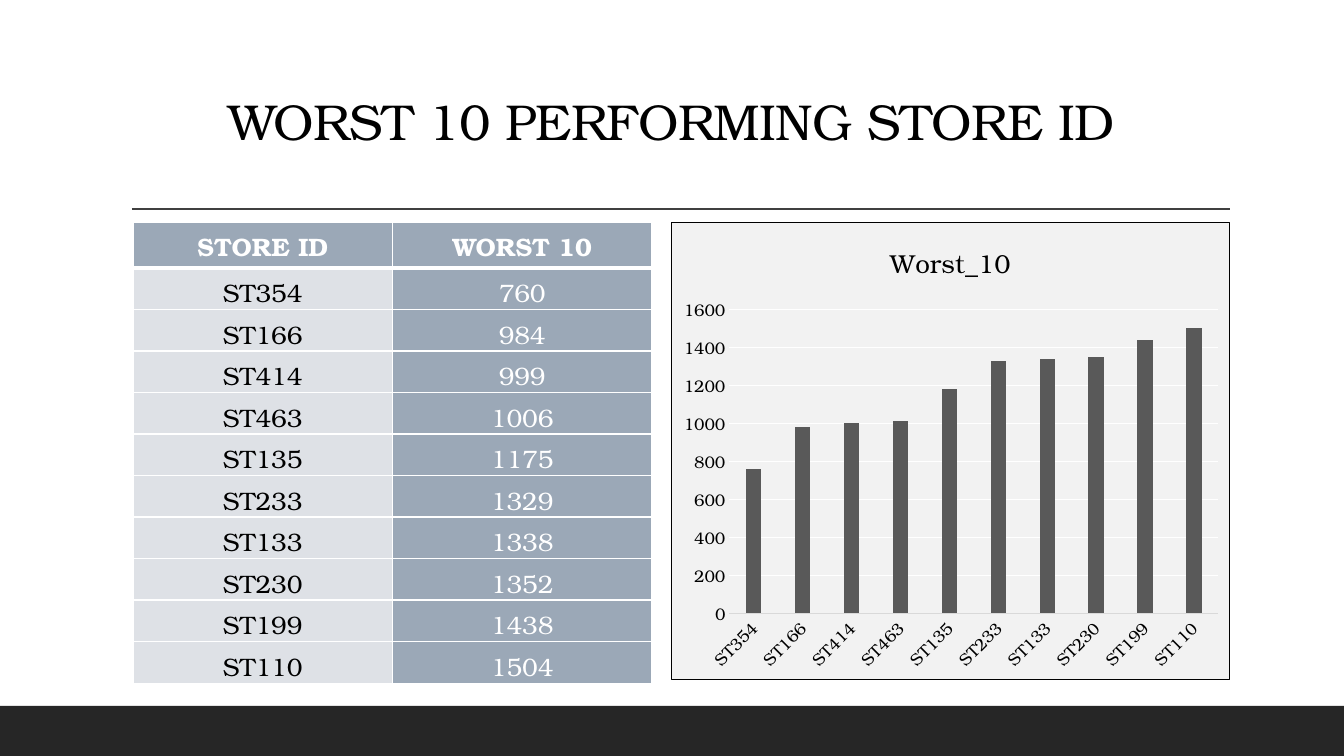
import pptx
import pptx.util
import pptx.dml.color
import pptx.oxml
import pptx.oxml.ns
import pptx.chart.data
import pptx.enum.chart
import pptx.enum.shapes
import pptx.enum.text

SCALE = 914400 / 100.8
FONT = "TeX Gyre Bonum"
BLACK, WHITE, SLATE, PALE = "000000", "FFFFFF", "9BA8B7", "DEE1E6"
STORES = {
    "ST354": 760, "ST166": 984, "ST414": 999, "ST463": 1006, "ST135": 1175,
    "ST233": 1329, "ST133": 1338, "ST230": 1352, "ST199": 1438, "ST110": 1504,
}


def px(*sizes):
    return [pptx.util.Emu(round(size * SCALE)) for size in sizes]


def rgb(code):
    return pptx.dml.color.RGBColor.from_string(code)


def paint(fill, code):
    fill.solid()
    fill.fore_color.rgb = rgb(code)


def stroke(line, code, width):
    paint(line.fill, code)
    line.width = pptx.util.Pt(width)


def node(text):
    spaces = pptx.oxml.ns.nsdecls("a", "c")
    tag, rest = text.split(">", 1)
    if tag.endswith("/"):
        return pptx.oxml.parse_xml(f"{tag[:-1]} {spaces}/>{rest}")
    return pptx.oxml.parse_xml(f"{tag} {spaces}>{rest}")


def layout(box, **parts):
    wide, high = box[2:]
    modes = "".join(f'<c:{key}Mode val="edge"/>' for key in "xy")
    sizes = "".join(f'<c:{key} val="{val / (wide if key in "xw" else high)}"/>'
                    for key, val in parts.items())
    inner = '<c:layoutTarget val="inner"/>' if "w" in parts else ""
    return node(f"<c:layout><c:manualLayout>{inner}{modes}{sizes}"
                "</c:manualLayout></c:layout>")


class Deck:
    def __init__(self):
        self.show = pptx.Presentation()
        self.show.slide_width, self.show.slide_height = px(1344, 756)
        self.slide = self.show.slides.add_slide(self.show.slide_layouts[6])
        self.shapes = self.slide.shapes

    def style(self, font, size, color=BLACK, bold=False):
        font.name = FONT
        font.size = pptx.util.Pt(size)
        font.bold = bold
        font.color.rgb = rgb(color)

    def band(self, box, color):
        kind = pptx.enum.shapes.MSO_SHAPE.RECTANGLE
        shape = self.shapes.add_shape(kind, *px(*box))
        shape.shadow.inherit = False
        paint(shape.fill, color)
        shape.line.fill.background()

    def rule(self, ends, color):
        kind = pptx.enum.shapes.MSO_CONNECTOR.STRAIGHT
        line = self.shapes.add_connector(kind, *px(*ends))
        stroke(line.line, color, 1)
        line._element.spPr.append(node("<a:effectLst/>"))

    def title(self, box, text):
        frame = self.shapes.add_textbox(*px(*box)).text_frame
        frame.word_wrap = True
        frame.vertical_anchor = pptx.enum.text.MSO_ANCHOR.BOTTOM
        para = frame.paragraphs[0]
        para.alignment = pptx.enum.text.PP_ALIGN.CENTER
        para.line_spacing = 0.9
        run = para.add_run()
        run.text = text
        self.style(para.font, 36)
        run._r.get_or_add_rPr().set("spc", "-50")

    def cell(self, cell, text, fill, color, head, edges):
        props = cell._tc.get_or_add_tcPr()
        for side, width in edges.items():
            props.append(node(
                f'<a:ln{side} w="{width * 12700}"><a:solidFill>'
                f'<a:srgbClr val="{WHITE}"/></a:solidFill></a:ln{side}>'))
        paint(cell.fill, fill)
        if not head:
            cell.vertical_anchor = pptx.enum.text.MSO_ANCHOR.BOTTOM
            cell.margin_left = cell.margin_right = cell.margin_top = px(1)[0]
            cell.margin_bottom = 0
        para = cell.text_frame.paragraphs[0]
        para.text = text
        para.alignment = pptx.enum.text.PP_ALIGN.CENTER
        self.style(para.font, 18, color, head)

    def table(self, box, top, heads, data):
        rows = [heads, *data.items()]
        table = self.shapes.add_table(len(rows), 2, *px(*box)).table
        table.horz_banding = False
        table.rows[0].height = px(top)[0]
        for r, row in enumerate(rows):
            head = r == 0
            edges = {"L": 1, "R": 1, "T": 3 if r == 1 else 1,
                     "B": 3 if head else 1}
            for c, value in enumerate(row):
                light = c == 0 and not head
                self.cell(table.cell(r, c), str(value),
                          PALE if light else SLATE,
                          BLACK if light else WHITE, head, edges)

    def chart(self, box, name, data):
        enum = pptx.enum.chart
        source = pptx.chart.data.CategoryChartData()
        source.categories = list(data)
        source.add_series(name, [round(value, -1) for value in data.values()])
        kind = enum.XL_CHART_TYPE.COLUMN_CLUSTERED
        chart = self.shapes.add_chart(kind, *px(*box), source).chart
        chart.has_legend = False
        chart.font.name = "Lato"
        chart.font.size = pptx.util.Pt(10)
        chart.font.color.rgb = rgb(BLACK)
        para = chart.chart_title.text_frame.paragraphs[0]
        para.text = name
        self.style(para.font, 18.6)
        chart.chart_title.include_in_layout = False
        chart.chart_title._element.tx_rich.getparent().addnext(
            layout(box, x=215, y=28))
        self.axes(chart)
        plot = chart.plots[0]
        plot.gap_width = 219
        plot.overlap = -27
        plot.vary_by_categories = False
        paint(plot.series[0].format.fill, "595959")
        area = chart._chartSpace.chart.plotArea
        for old in area.findall(pptx.oxml.ns.qn("c:layout")):
            area.remove(old)
        area.insert(0, layout(box, x=58, y=87, w=490, h=305))
        chart._chartSpace.chart.addnext(node(
            '<c:spPr><a:solidFill><a:srgbClr val="F2F2F2"/></a:solidFill>'
            f'<a:ln w="9525"><a:solidFill><a:srgbClr val="{BLACK}"/>'
            "</a:solidFill></a:ln></c:spPr>"))

    def axes(self, chart):
        none = pptx.enum.chart.XL_TICK_MARK.NONE
        cat, val = chart.category_axis, chart.value_axis
        for axis in (cat, val):
            axis.major_tick_mark = axis.minor_tick_mark = none
            self.style(axis.tick_labels.font, 12)
        stroke(cat.format.line, "D9D9D9", 0.75)
        cat._element.txPr.bodyPr.set("rot", "-2700000")
        val.format.line.fill.background()
        val.minimum_scale, val.maximum_scale, val.major_unit = 0, 1600, 200
        stroke(val.major_gridlines.format.line, WHITE, 0.75)


def main():
    deck = Deck()
    deck.band((0, 706, 1344, 50), "262626")
    deck.rule((132, 209, 1230, 209), "404040")
    deck.title((117, 61, 1109, 95), "WORST 10 PERFORMING STORE ID")
    deck.table((133, 222, 519, 457), 46, ("STORE ID", "WORST 10"), STORES)
    deck.chart((671, 222, 559, 458), "Worst_10", STORES)
    deck.show.save("out.pptx")


if __name__ == "__main__":
    main()
